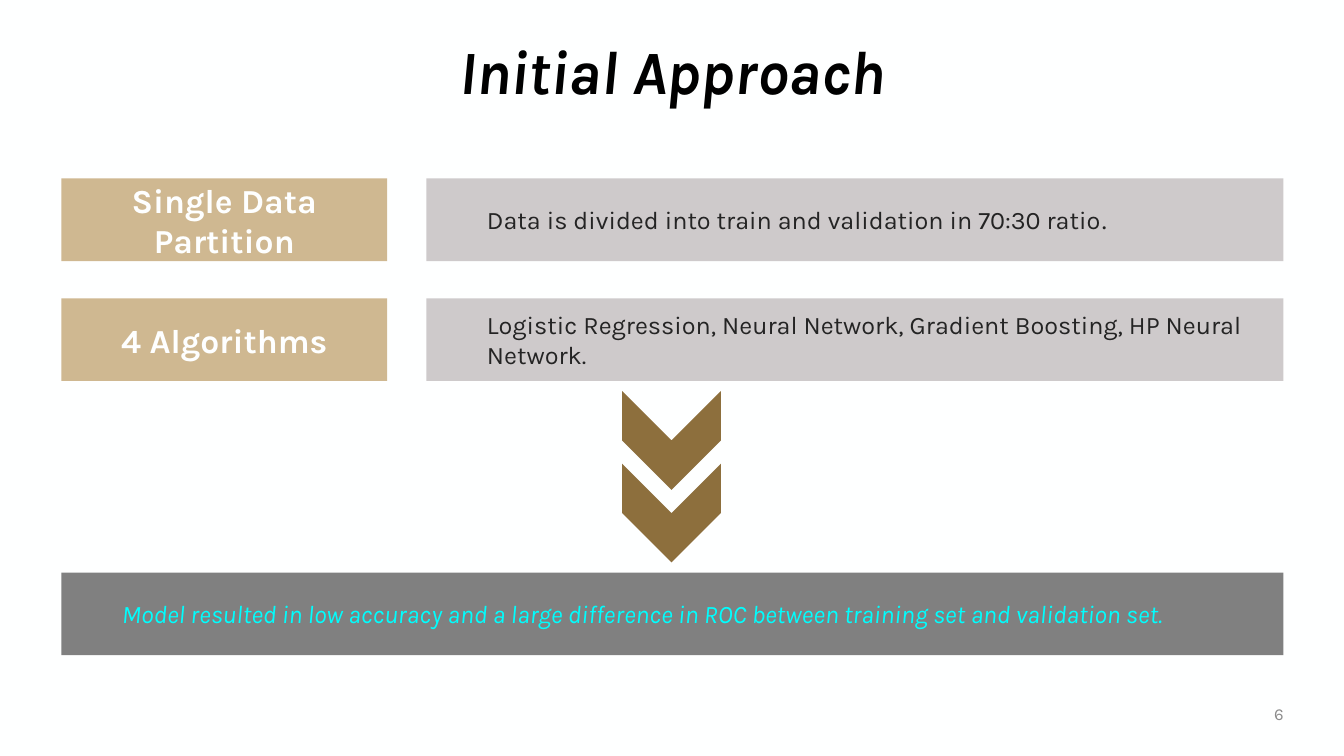
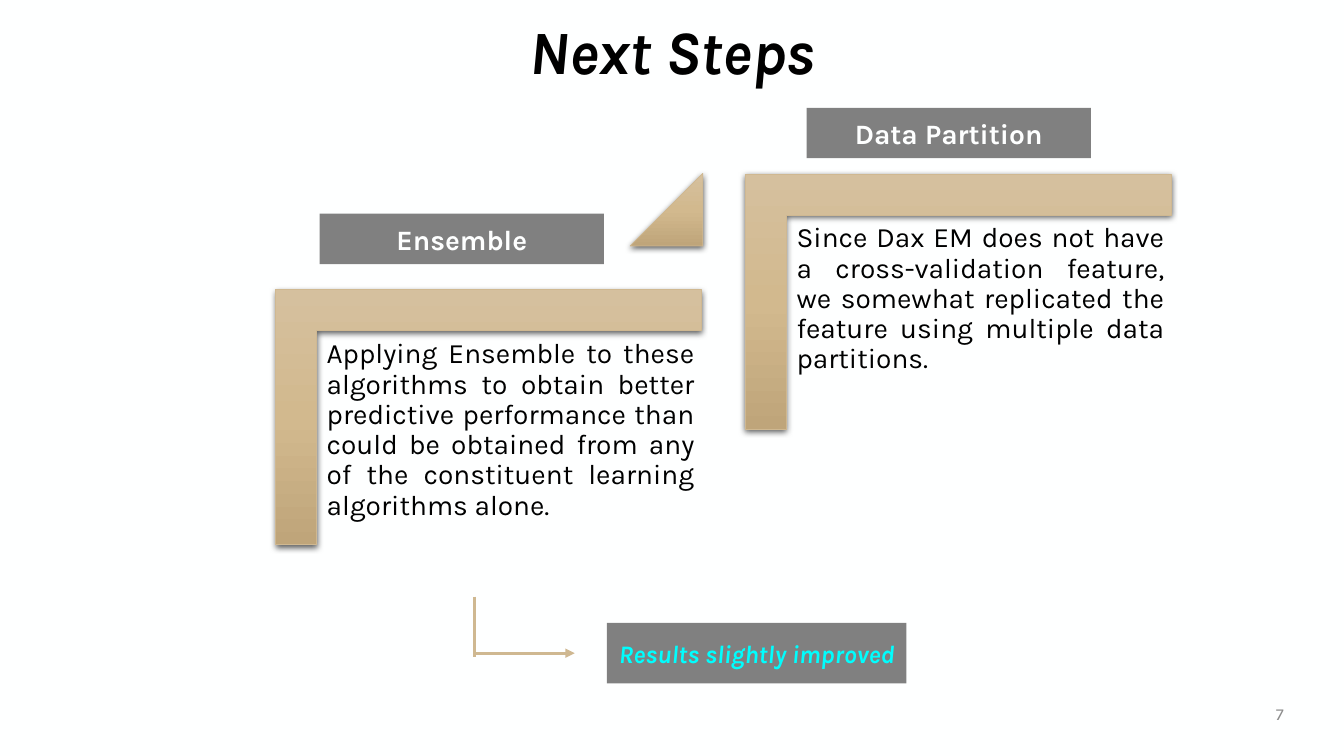
"""Build two slides on a modelling project: the initial approach and the next steps."""
from dataclasses import dataclass

from lxml.etree import SubElement
from pptx import Presentation
from pptx.dml.color import RGBColor as Rgb
from pptx.enum.shapes import MSO_CONNECTOR as Connector, MSO_SHAPE as Shape
from pptx.enum.text import MSO_ANCHOR as Anchor, PP_ALIGN as Align
from pptx.oxml import parse_xml
from pptx.oxml.ns import nsdecls, qn
from pptx.util import Inches, Pt


@dataclass(frozen=True)
class Theme:
    font: str = "Karla"
    serif: str = "TeX Gyre Schola"
    paper: str = "FEFFFF"
    ink: str = "000000"
    body_ink: str = "242424"
    muted: str = "8C8C8C"
    tan: str = "CFB891"
    brown: str = "8D6F3D"
    pale: str = "CECACB"
    grey: str = "808080"
    cyan: str = "00FEFE"
    gradient: tuple = ((0, "D5C09E"), (50, "D2B98E"), (100, "BFA57A"))
    title_size: int = 44
    label_size: int = 24
    step_size: int = 20
    body_size: int = 18
    number_size: int = 12


theme = Theme()


def add_box(page, at, kind=None, fill=None):
    """Add a plain preset shape, or a text box when no kind is given."""
    place = [Inches(length) for length in at]
    if kind is None:
        return page.shapes.add_textbox(*place)
    box = page.shapes.add_shape(kind, *place)
    box.shadow.inherit = False
    box.line.fill.background()
    if fill:
        box.fill.solid()
        box.fill.fore_color.rgb = Rgb.from_string(fill)
    return box


def write(box, text, size, color, align=Align.CENTER, bold=False, italic=False, anchor=Anchor.MIDDLE):
    """Put one styled paragraph in a box and return it."""
    frame = box.text_frame
    frame.word_wrap = True
    frame.vertical_anchor = anchor
    para = frame.paragraphs[0]
    para.alignment = align
    para.add_run().text = text
    font = para.font
    font.name, font.size, font.bold, font.italic = theme.font, Pt(size), bold, italic
    font.color.rgb = Rgb.from_string(color)
    return para


deck = Presentation()
deck.slide_width, deck.slide_height = Inches(13.33), Inches(7.5)

pages = []
for number, title, title_top in ((6, "Initial Approach", 0.42), (7, "Next Steps", 0.22)):
    page = deck.slides.add_slide(deck.slide_layouts[6])
    page.background.fill.solid()
    page.background.fill.fore_color.rgb = Rgb.from_string(theme.paper)
    heading = add_box(page, (0.51, title_top, 12.32, 0.64))
    write(heading, title, theme.title_size, theme.ink, bold=True, italic=True).line_spacing = 0.9
    write(add_box(page, (11.63, 6.88, 1.2, 0.4)), str(number), theme.number_size, theme.muted, Align.RIGHT)
    pages.append(page)
approach, steps = pages

row_height, left_edge = 0.82, 0.61
rows = (
    ("Single Data Partition", "Data is divided into train and validation in 70:30 ratio", "."),
    ("4 Algorithms", "Logistic Regression, Neural Network, Gradient Boosting, HP Neural Network.", ""),
)
for index, (label, detail, full_stop) in enumerate(rows):
    top = 1.77 + index * 1.19
    label_box = add_box(approach, (left_edge, top, 3.23, row_height), Shape.RECTANGLE, theme.tan)
    write(label_box, label, theme.label_size, theme.paper, bold=True)
    detail_box = add_box(approach, (4.23, top, 8.5, row_height), Shape.RECTANGLE, theme.pale)
    detail_box.text_frame.margin_left = Inches(0.6)
    para = write(detail_box, detail, theme.body_size, theme.body_ink, Align.LEFT)
    if full_stop:
        span = para.add_run()
        span.text = full_stop
        span.font.name = theme.serif

for top in (3.88, 4.6):
    add_box(approach, (6.17, top, 0.98, 0.98), Shape.CHEVRON, theme.brown).rotation = 90

outcome = add_box(approach, (left_edge, 5.68, 12.12, row_height), Shape.RECTANGLE, theme.grey)
outcome.text_frame.margin_left = Inches(0.6)
write(
    outcome,
    "Model resulted in low accuracy and a large difference in ROC between training set and validation set.",
    theme.body_size, theme.cyan, Align.LEFT, italic=True,
)

stair_parts = []
stair_steps = (
    ((3.58, 2.03), (3.17, 2.12), "Ensemble",
     "Applying Ensemble to these algorithms to obtain better predictive performance than could be "
     "obtained from any of the constituent learning algorithms alone."),
    ((8.24, 0.88), (8, 1.07), "Data Partition",
     "Since Dax EM does not have a cross-validation feature, we somewhat replicated the feature "
     "using multiple data partitions."),
)
for (left, top), label_at, label, detail in stair_steps:
    corner = add_box(steps, (left, top, 2.53, 4.22), Shape.CORNER)
    corner.rotation = 90
    corner.adjustments[0] = corner.adjustments[1] = 0.161
    stair_parts.append(corner)
    detail_box = add_box(steps, (left - 0.42, top + 1.26, 3.81, 3.34))
    frame = detail_box.text_frame
    frame.margin_left = frame.margin_right = frame.margin_top = frame.margin_bottom = Inches(0.08)
    para = write(detail_box, detail, theme.step_size, theme.ink, Align.JUSTIFY, anchor=Anchor.TOP)
    para.line_spacing = 0.9
    label_box = add_box(steps, (*label_at, 2.82, 0.5), Shape.RECTANGLE, theme.grey)
    write(label_box, label, theme.step_size, theme.paper, bold=True)

triangle = add_box(steps, (6.25, 1.72, 0.72, 0.72), Shape.ISOSCELES_TRIANGLE)
triangle.adjustments[0] = 1
stair_parts.append(triangle)

stops = "".join(
    f'<a:gs pos="{position * 1000}"><a:srgbClr val="{color}"/></a:gs>' for position, color in theme.gradient
)
for part in stair_parts:
    part.line.color.rgb = Rgb.from_string(theme.tan)
    part.line.width = Pt(0.5)
    properties = part.element.spPr
    properties.find(qn("a:ln")).addprevious(parse_xml(
        f'<a:gradFill {nsdecls("a")} rotWithShape="0"><a:gsLst>{stops}</a:gsLst>'
        '<a:lin ang="5400000" scaled="0"/></a:gradFill>'
    ))
    properties.find(qn("a:effectLst")).append(parse_xml(
        f'<a:outerShdw {nsdecls("a")} blurRad="{Pt(4.5)}" dist="{Pt(1.5)}" dir="5400000" rotWithShape="0">'
        f'<a:srgbClr val="{theme.ink}"><a:alpha val="63000"/></a:srgbClr></a:outerShdw>'
    ))

result = add_box(steps, (6.02, 6.18, 2.97, 0.6), Shape.RECTANGLE, theme.grey)
write(result, "Results slightly improved", theme.body_size, theme.cyan, bold=True, italic=True)

for ends, has_arrow in (((4.71, 5.92, 4.71, 6.52), False), ((4.71, 6.48, 5.7, 6.48), True)):
    line = steps.shapes.add_connector(Connector.STRAIGHT, *[Inches(length) for length in ends])
    line.line.color.rgb = Rgb.from_string(theme.tan)
    line.line.width = Pt(2.25)
    properties = line.element.spPr
    if has_arrow:
        SubElement(properties.find(qn("a:ln")), qn("a:tailEnd"), type="triangle")
    SubElement(properties, qn("a:effectLst"))

deck.save("out.pptx")
